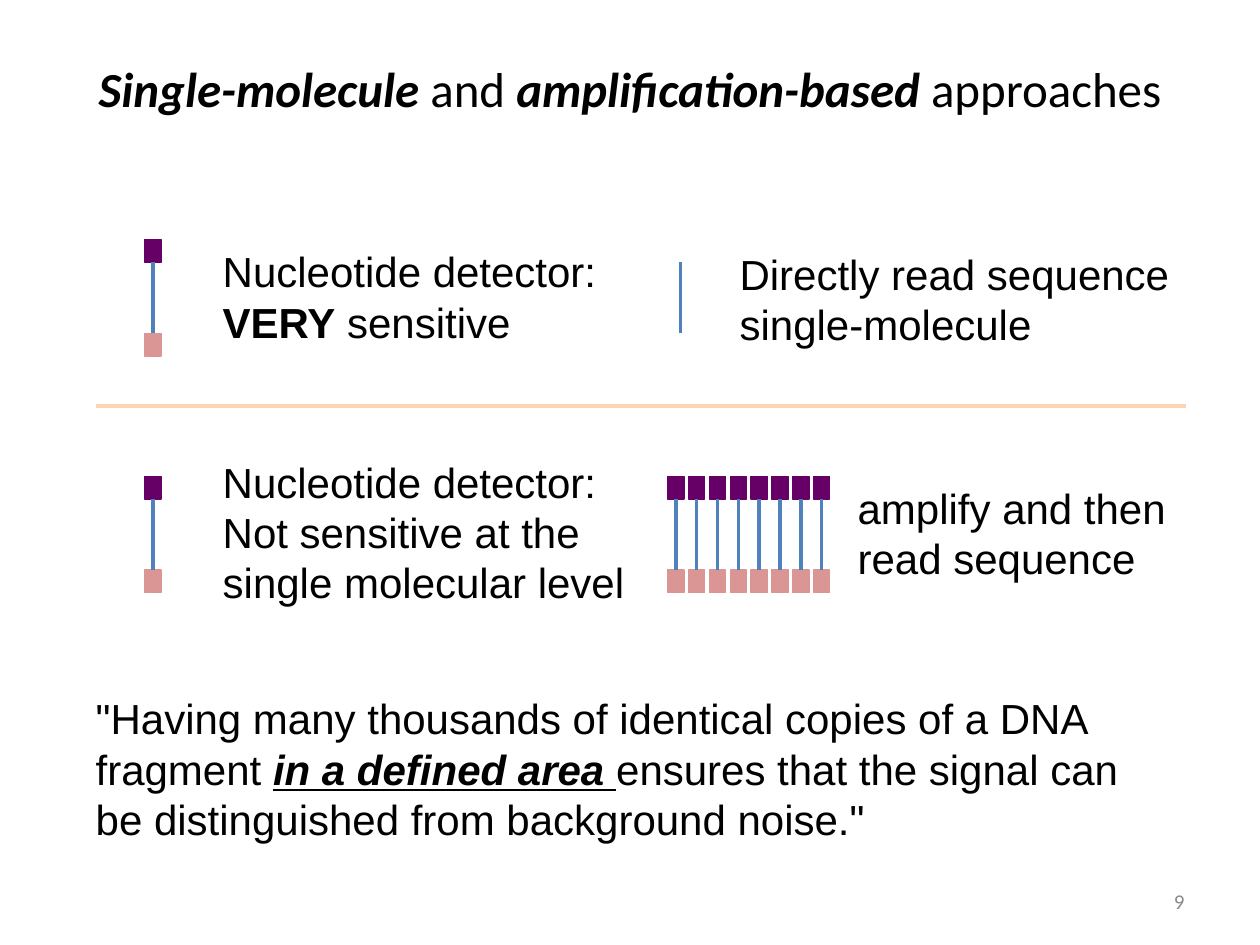
from lxml import etree
from pptx import Presentation
from pptx import util as u
from pptx.dml.color import RGBColor
from pptx.enum import shapes, text
from pptx.oxml.ns import qn

BLACK = RGBColor(0x00, 0x00, 0x00)
GREY = RGBColor(0x89, 0x89, 0x89)
BLUE = RGBColor(0x4F, 0x81, 0xBD)
PURPLE = RGBColor(0x66, 0x00, 0x66)
PINK = RGBColor(0xD9, 0x96, 0x94)
PEACH = RGBColor(0xFC, 0xD5, 0xB5)

BODY = {"name": "Arial", "size": u.Pt(24)}
TITLE = {"name": "Calibri", "size": u.Pt(28)}
NUMBER = {"name": "Calibri", "size": u.Pt(12)}
BOLD = {"bold": True}
BOLD_ITALIC = {"bold": True, "italic": True}
EMPHASIS = {"bold": True, "italic": True, "underline": True}

CAP_WIDTH, CAP_HEIGHT = 0.33, 0.46
CAP_DISTANCE = 1.89
STRAND_PITCH = 0.42
STRAND_COPIES = 8
LEFT_STRAND, COPIES_LEFT = 2.92, 13.46
TOP_ROW, BOTTOM_ROW = 4.83, 9.6


def add_text(parent, box, paragraphs, base=BODY, color=BLACK, wrap=True,
             anchor=text.MSO_ANCHOR.TOP, align=text.PP_ALIGN.LEFT):
    """Add a text box; each paragraph is a list of (wording, extra format) runs."""
    frame = parent.add_textbox(*(u.Cm(length) for length in box)).text_frame
    frame.word_wrap = wrap
    frame.vertical_anchor = anchor
    for index, runs in enumerate(paragraphs):
        paragraph = frame.paragraphs[0] if index == 0 else frame.add_paragraph()
        paragraph.alignment = align
        for wording, extra in runs:
            run = paragraph.add_run()
            run.text = wording
            for attribute, value in {**base, **extra}.items():
                setattr(run.font, attribute, value)
            run.font.color.rgb = color


def add_line(parent, start, end, color):
    ends = (u.Cm(length) for length in (*start, *end))
    line = parent.add_connector(shapes.MSO_CONNECTOR.STRAIGHT, *ends)
    line.line.color.rgb = color
    line.line.width = u.Pt(2)
    etree.SubElement(line._element.spPr, qn("a:effectLst"))
    return line


def add_cap(parent, left, top, color):
    box = (u.Cm(length) for length in (left, top, CAP_WIDTH, CAP_HEIGHT))
    cap = parent.add_shape(shapes.MSO_SHAPE.RECTANGLE, *box)
    cap.shadow.inherit = False
    cap.fill.solid()
    cap.fill.fore_color.rgb = color
    cap.line.color.rgb = color
    cap.line.width = u.Pt(0.75)
    return cap


def add_strand(parent, left, top):
    """Add a DNA fragment: a strand joining two adapter caps."""
    upper = add_cap(parent, left, top, PURPLE)
    lower = add_cap(parent, left, top + CAP_DISTANCE, PINK)
    middle = left + CAP_WIDTH / 2
    strand = add_line(parent, (middle, top + CAP_HEIGHT),
                      (middle, top + CAP_DISTANCE), BLUE)
    strand.begin_connect(upper, 2)
    strand.end_connect(lower, 0)


def add_single_molecule_row(slide):
    add_strand(slide.shapes.add_group_shape().shapes, LEFT_STRAND, TOP_ROW)
    add_text(slide.shapes, (4.24, 4.83, 8.33, 2.31),
             [[("Nucleotide detector: ", {}), ("VERY", BOLD), (" sensitive", {})]])
    add_line(slide.shapes, (13.72, 5.29), (13.72, 6.72), BLUE)
    add_text(slide.shapes, (14.66, 4.88, 9.25, 2.31),
             [[("Directly read sequence", {})], [("single-molecule", {})]],
             wrap=False)


def add_amplification_row(slide):
    group = slide.shapes.add_group_shape().shapes
    add_text(group, (4.24, 9.07, 8.94, 3.33),
             [[("Nucleotide detector: Not sensitive at the single molecular level", {})]])
    add_strand(group, LEFT_STRAND, BOTTOM_ROW)
    for copy_index in range(STRAND_COPIES):
        add_strand(group, COPIES_LEFT + copy_index * STRAND_PITCH, BOTTOM_ROW)
    add_text(group, (17.04, 9.6, 7.98, 2.31),
             [[("amplify and then read sequence", {})]])


def main():
    presentation = Presentation()
    presentation.slide_width = u.Cm(25.4)
    presentation.slide_height = u.Cm(19.05)
    slide = presentation.slides.add_slide(presentation.slide_layouts[6])

    add_text(slide.shapes, (1.27, 0.76, 22.86, 2.01),
             [[("Single-molecule ", BOLD_ITALIC), ("and ", {}),
               ("amplification-based ", BOLD_ITALIC), ("approaches", {})]],
             base=TITLE, anchor=text.MSO_ANCHOR.MIDDLE, align=text.PP_ALIGN.CENTER)
    add_single_molecule_row(slide)
    add_line(slide.shapes, (1.93, 8.18), (23.9, 8.18), PEACH)
    add_amplification_row(slide)
    add_text(slide.shapes, (1.68, 13.84, 22.25, 3.33),
             [[('"Having many thousands of identical copies of a DNA fragment ', {}),
               ("in a defined area ", EMPHASIS),
               ("ensures that the signal can be distinguished "
                'from background noise."', {})]])
    add_text(slide.shapes, (18.21, 17.65, 5.92, 1.02), [[("9", {})]],
             base=NUMBER, color=GREY,
             anchor=text.MSO_ANCHOR.MIDDLE, align=text.PP_ALIGN.RIGHT)

    presentation.save("out.pptx")


if __name__ == "__main__":
    main()
